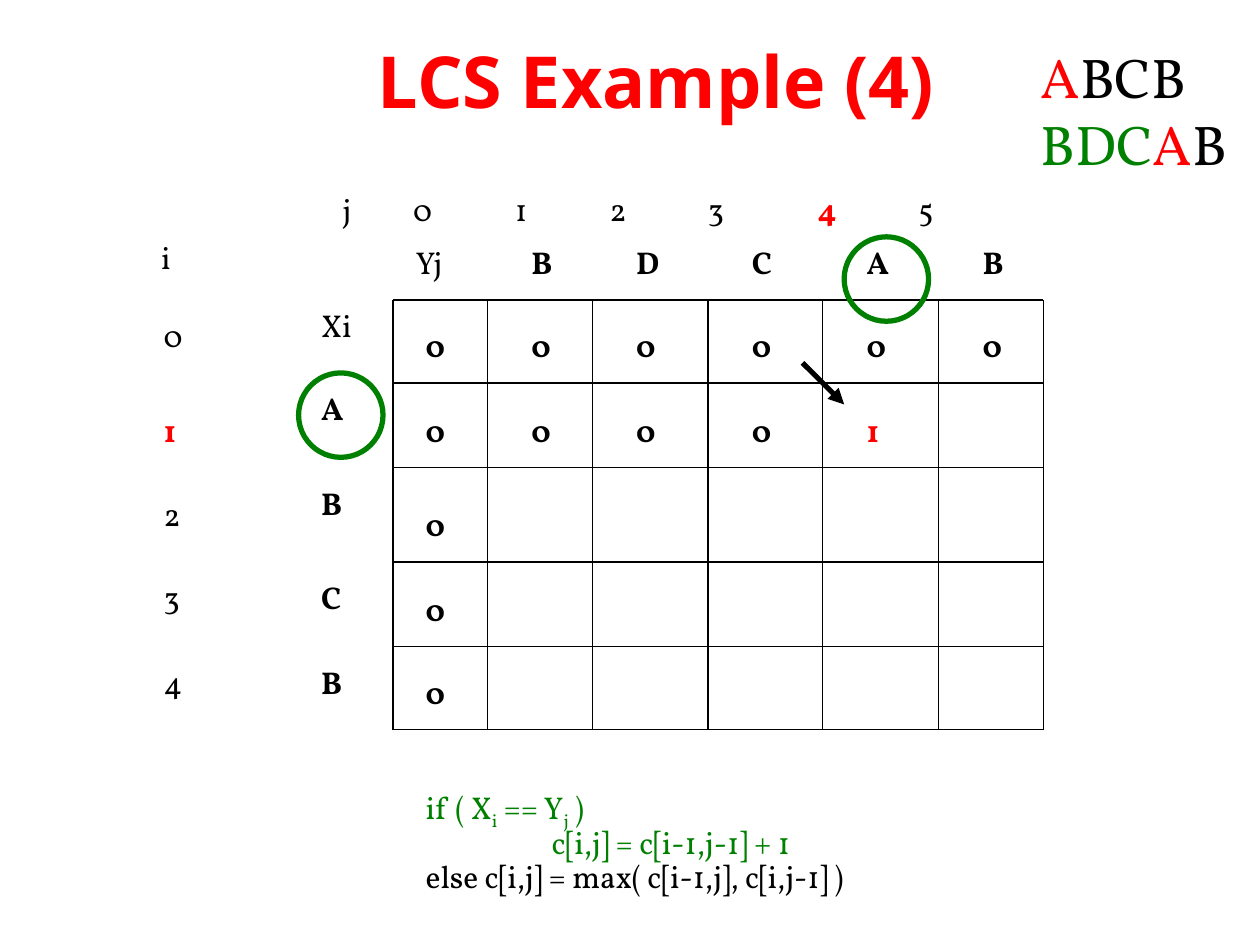
from dataclasses import dataclass

from pptx import Presentation
from pptx.dml.color import RGBColor
from pptx.enum.shapes import MSO_CONNECTOR, MSO_SHAPE
from pptx.enum.text import MSO_ANCHOR, MSO_AUTO_SIZE, PP_ALIGN
from pptx.oxml.ns import qn
from pptx.util import Inches, Pt
from lxml.etree import SubElement


@dataclass(frozen=True)
class Theme:
    ink: str = "000000"
    active: str = "FF0000"
    match: str = "008000"
    title_font: str = "Noto Sans"
    body_font: str = "Vollkorn"
    title_size: int = 41
    sequence_size: int = 32
    body_size: int = 18
    grid_width: float = 0.75
    accent_width: float = 3


THEME = Theme()


def write_text(frame, paragraphs, *, font=THEME.body_font, size=THEME.body_size,
               color=THEME.ink, bold=False, align=PP_ALIGN.LEFT, spacing=None,
               indents=(), tabs=()):
    """Each paragraph is a list of (text, overrides) runs; indents and tabs are in inches."""
    for number, runs in enumerate(paragraphs):
        paragraph = frame.paragraphs[0] if number == 0 else frame.add_paragraph()
        paragraph.alignment = align
        if spacing:
            paragraph.line_spacing = spacing
        properties = paragraph._p.get_or_add_pPr()
        if indents:
            properties.set("marL", str(Inches(indents[number])))
            properties.set("indent", "0")
        if tabs:
            stops = SubElement(properties, qn("a:tabLst"))
            for stop in tabs:
                SubElement(stops, qn("a:tab"), pos=str(Inches(stop)), algn="l")
        for words, changes in runs:
            run = paragraph.add_run()
            run.text = words
            run.font.name = font
            run.font.size = Pt(size)
            run.font.bold = changes.get("bold", bold)
            run.font.color.rgb = RGBColor.from_string(changes.get("color", color))
            if changes.get("subscript"):
                run.font._element.set("baseline", "-25000")


class SlideBuilder:
    def __init__(self, slide, theme):
        self.slide = slide
        self.theme = theme

    def text(self, left, top, width, height, content, wrap=False,
             anchor=MSO_ANCHOR.TOP, **style):
        box = self.slide.shapes.add_textbox(
            Inches(left), Inches(top), Inches(width), Inches(height))
        frame = box.text_frame
        frame.word_wrap = wrap
        frame.auto_size = MSO_AUTO_SIZE.NONE if wrap else MSO_AUTO_SIZE.SHAPE_TO_FIT_TEXT
        frame.vertical_anchor = anchor
        paragraphs = [[(content, {})]] if isinstance(content, str) else content
        write_text(frame, paragraphs, **style)

    def label(self, left, top, content, width=0.37, **style):
        self.text(left, top, width, 0.5, content, **style)

    def line(self, x1, y1, x2, y2, width, arrow=False):
        connector = self.slide.shapes.add_connector(
            MSO_CONNECTOR.STRAIGHT, Inches(x1), Inches(y1), Inches(x2), Inches(y2))
        connector.line.color.rgb = RGBColor.from_string(self.theme.ink)
        connector.line.width = Pt(width)
        if arrow:
            SubElement(connector.line._get_or_add_ln(), qn("a:tailEnd"), type="triangle")
        SubElement(connector._element.spPr, qn("a:effectLst"))

    def ring(self, left, top, diameter=0.67):
        circle = self.slide.shapes.add_shape(
            MSO_SHAPE.OVAL, Inches(left), Inches(top), Inches(diameter), Inches(diameter))
        circle.shadow.inherit = False
        circle.fill.background()
        circle.line.color.rgb = RGBColor.from_string(self.theme.match)
        circle.line.width = Pt(self.theme.accent_width)


def draw_grid(builder):
    columns = [3.12, 3.87, 4.7, 5.62, 6.53, 7.45, 8.28]
    rows = [2.38, 3.04, 3.71, 4.46, 5.13, 5.79]
    width = builder.theme.grid_width
    for x in columns:
        builder.line(x, rows[0], x, rows[-1], width)
    for y in rows:
        builder.line(columns[0], y, columns[-1], y, width)


def draw_headings(builder):
    active = {"color": builder.theme.active, "bold": True}
    column_numbers = [("j\t0\t1\t2\t3\t", {}), ("4", active), ("\t5", {})]
    builder.text(2.62, 1.46, 5.54, 0.4, [column_numbers], wrap=True,
                 tabs=(0.56, 1.37, 2.12, 2.9, 3.77, 4.57))
    builder.label(1.18, 1.84, "i", width=0.29)
    for number, top in enumerate([2.46, 3.21, 3.88, 4.54, 5.21]):
        builder.label(1.2, top, str(number), **(active if number == 1 else {}))

    builder.label(2.45, 2.38, "Xi", width=0.53)
    for letter, top in zip("ABCB", [3.04, 3.79, 4.54, 5.21]):
        builder.label(2.45, top, letter, width=0.43, bold=True)
    builder.label(3.2, 1.88, "Yj", width=0.53)
    for letter, left in zip("BDCAB", CELL_LEFTS[1:]):
        builder.label(left, 1.88, letter, width=0.43, bold=True)


CELL_LEFTS = [3.28, 4.12, 4.95, 5.87, 6.78, 7.7]
CELL_TOPS = [2.54, 3.21, 3.96, 4.63, 5.29]
LENGTHS = ["000000", "00001", "0", "0", "0"]


def draw_lengths(builder):
    for top, row in zip(CELL_TOPS, LENGTHS):
        for left, length in zip(CELL_LEFTS, row):
            color = builder.theme.active if length == "1" else builder.theme.ink
            builder.label(left, top, length, bold=True, color=color)


def draw_recurrence(builder):
    subscript = {"subscript": True}
    rule = [
        [("if ( X", {}), ("i", subscript), (" == Y", {}), ("j", subscript), (" )", {})],
        [("c[i,j] = c[i-1,j-1] + 1", {})],
        [("else c[i,j] = max( c[i-1,j], c[i,j-1] )", {"color": builder.theme.ink})],
    ]
    builder.text(1.28, 6.21, 6.75, 1.18, rule, wrap=True, color=builder.theme.match,
                 spacing=0.9, indents=(2, 3, 2))


def draw_sequences(builder):
    active = {"color": builder.theme.active}
    sequences = [
        [("A", active), ("BCB", {})],
        [("BDC", {"color": builder.theme.match}), ("A", active), ("B", {})],
    ]
    builder.text(8.16, 0.29, 1.75, 1.17, sequences, wrap=True,
                 size=builder.theme.sequence_size)


def main():
    presentation = Presentation()
    presentation.slide_width = Inches(10)
    presentation.slide_height = Inches(7.5)
    slide = presentation.slides.add_slide(presentation.slide_layouts[6])
    builder = SlideBuilder(slide, THEME)

    builder.text(0.67, 0.13, 9.08, 1, "LCS Example (4)", wrap=True,
                 anchor=MSO_ANCHOR.MIDDLE, align=PP_ALIGN.CENTER, bold=True,
                 font=THEME.title_font, size=THEME.title_size, color=THEME.active)
    draw_grid(builder)
    draw_headings(builder)
    draw_lengths(builder)
    draw_recurrence(builder)
    builder.ring(2.37, 2.96)
    builder.ring(6.7, 1.88)
    builder.line(6.37, 2.88, 6.7, 3.21, THEME.accent_width, arrow=True)
    draw_sequences(builder)
    presentation.save("out.pptx")


if __name__ == "__main__":
    main()
